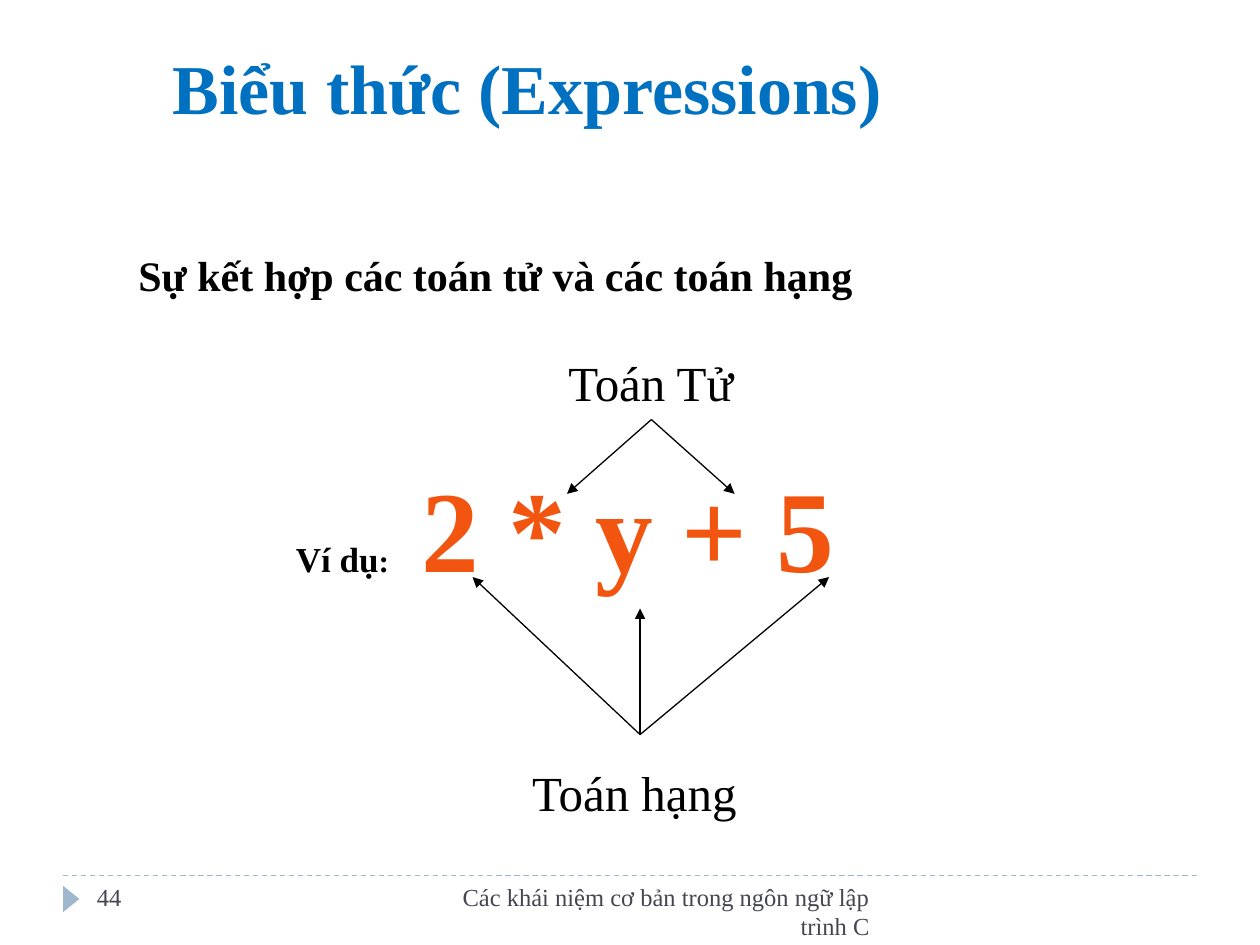
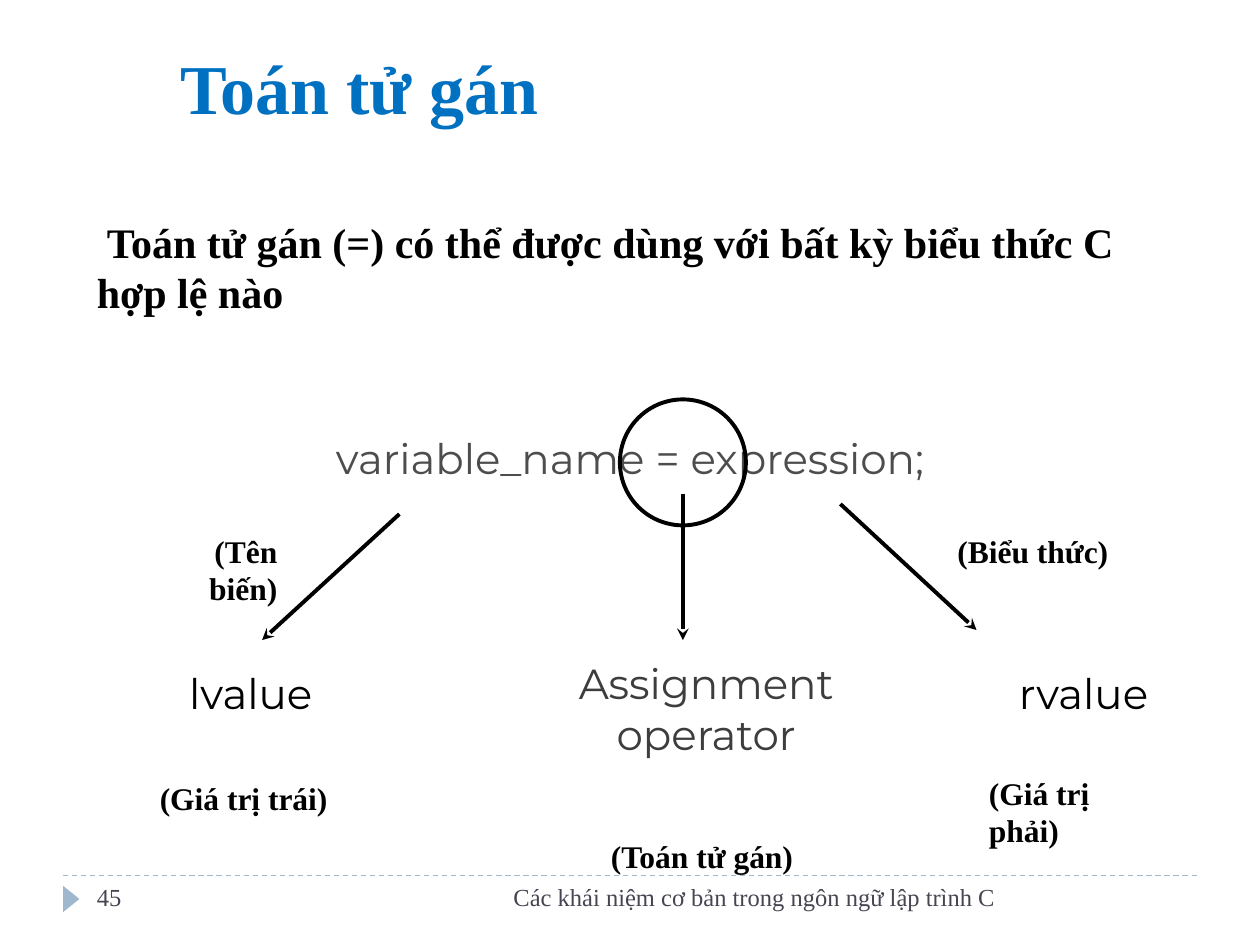
from pptx import Presentation
from pptx.dml.color import RGBColor
from pptx.enum.dml import MSO_LINE
from pptx.enum.shapes import MSO_CONNECTOR, MSO_SHAPE
from pptx.enum.text import MSO_ANCHOR, MSO_AUTO_SIZE, PP_ALIGN
from pptx.oxml.ns import qn
from pptx.util import Inches, Pt
from lxml import etree

LEFT, CENTER, RIGHT = PP_ALIGN.LEFT, PP_ALIGN.CENTER, PP_ALIGN.RIGHT
BOTTOM = MSO_ANCHOR.BOTTOM
NO_AUTOFIT = MSO_AUTO_SIZE.NONE
STRAIGHT = MSO_CONNECTOR.STRAIGHT
TRIANGLE, OVAL = MSO_SHAPE.ISOSCELES_TRIANGLE, MSO_SHAPE.OVAL
DASH = MSO_LINE.DASH
SERIF, SANS = "Times New Roman", "Montserrat"
BLACK, TITLE_BLUE, BAND_BLUE = "000000", "0070C0", "9FB8CD"
FOOTER_GRAY, ORANGE = "464653", "F1550F"
CODE_GRAY, OPERATOR_GRAY = "4D4D4D", "3D3D3D"
FOOTER = "Các khái niệm cơ bản trong ngôn ngữ lập trình C"
TITLE_ONLY = 5


def color(value):
    return RGBColor.from_string(value)


def add_run(paragraph, text, size=18, font=SERIF, fill=BLACK, bold=False):
    run = paragraph.add_run()
    run.text = text
    run.font.size = Pt(size)
    run.font.name = font
    run.font.bold = bold
    run.font.color.rgb = color(fill)


class Deck:
    """Hold the shared style and the slide being built."""

    def __init__(self):
        self.presentation = Presentation()
        self.presentation.slide_width = Inches(10)
        self.presentation.slide_height = Inches(7.5)
        self.slide = None

    def new_slide(self, title, number, title_left, title_width, footer_width):
        layout = self.presentation.slide_layouts[TITLE_ONLY]
        self.slide = self.presentation.slides.add_slide(layout)
        self.line((0.5, 6.95), (9.5, 6.95), fill=BAND_BLUE, dash=DASH)
        marker = self.shape(TRIANGLE, 0.46, 7.07, 0.21, 0.13, fill=BAND_BLUE)
        marker.rotation = 90
        self.title(title, title_left, title_width)
        footer_style = {"size": 14, "fill": FOOTER_GRAY}
        self.text(FOOTER, 3.17, 6.95, footer_width, 0.4, align=RIGHT, **footer_style)
        self.text(str(number), 0.67, 6.95, 2.17, 0.4, **footer_style)

    def title(self, text, left, width):
        shape = self.slide.shapes.title
        shape.left, shape.top = Inches(left), Inches(0.17)
        shape.width, shape.height = Inches(width), Inches(0.9)
        frame = shape.text_frame
        frame.auto_size = NO_AUTOFIT
        frame.vertical_anchor = BOTTOM
        frame.paragraphs[0].alignment = LEFT
        add_run(frame.paragraphs[0], text, size=40, fill=TITLE_BLUE, bold=True)

    def text(self, content, left, top, width, height, align=LEFT, wrap=True,
             margin=0, indent=0, tab=None, **style):
        box = self.slide.shapes.add_textbox(
            Inches(left), Inches(top), Inches(width), Inches(height))
        frame = box.text_frame
        frame.word_wrap = wrap
        lines = content.split("\n") if isinstance(content, str) else [content]
        for index, line in enumerate(lines):
            paragraph = frame.add_paragraph() if index else frame.paragraphs[0]
            paragraph.alignment = align
            properties = paragraph._p.get_or_add_pPr()
            properties.set("marL", str(Inches(margin)))
            properties.set("indent", str(Inches(indent)))
            if tab:
                tabs = etree.SubElement(properties, qn("a:tabLst"))
                etree.SubElement(tabs, qn("a:tab"), pos=str(Inches(tab)), algn="l")
            runs = [(line, {})] if isinstance(line, str) else line
            for words, run_style in runs:
                add_run(paragraph, words, **{**style, **run_style})

    def label(self, text, left, top, width, align=LEFT):
        self.text(text, left, top, width, 0.4, align=align, wrap=False, bold=True)

    def code(self, text, left, top, width, height=0.71, fill=BLACK):
        self.text(text, left, top, width, height, align=CENTER, wrap=False,
                  size=24, font=SANS, fill=fill)

    def shape(self, kind, left, top, width, height, fill=None, outline=None):
        shape = self.slide.shapes.add_shape(
            kind, Inches(left), Inches(top), Inches(width), Inches(height))
        shape.shadow.inherit = False
        if fill:
            shape.fill.solid()
            shape.fill.fore_color.rgb = color(fill)
        else:
            shape.fill.background()
        if outline:
            shape.line.color.rgb = color(outline)
            shape.line.width = Pt(2.25)
        else:
            shape.line.fill.background()
        return shape

    def line(self, start, end, fill=BLACK, width=0.75, dash=None, arrow=None):
        points = [Inches(value) for value in (*start, *end)]
        connector = self.slide.shapes.add_connector(STRAIGHT, *points)
        connector.line.color.rgb = color(fill)
        connector.line.width = Pt(width)
        if dash:
            connector.line.dash_style = dash
        if arrow:
            etree.SubElement(connector.line._get_or_add_ln(), qn("a:tailEnd"), type=arrow)
        etree.SubElement(connector._element.spPr, qn("a:effectLst"))


def build_expressions(deck):
    deck.new_slide("Biểu thức (Expressions)", 44, 1.27, 7.56, 3.83)
    deck.text("Sự kết hợp các toán tử và các toán hạng", 0.42, 1.93, 9.33, 0.5,
              margin=0.58, size=24, bold=True)
    for operand in ((3.75, 4.58), (6.58, 4.58), (5.08, 4.83)):
        deck.line((5.08, 5.83), operand, arrow="triangle")
    for operator in ((4.5, 3.92), (5.83, 3.92)):
        deck.line((5.17, 3.33), operator, arrow="triangle")
    deck.text("Toán hạng", 3.87, 6, 2.33, 0.57, align=CENTER, size=28)
    deck.text("Toán Tử", 4.25, 2.75, 1.83, 0.57, align=CENTER, size=28)
    example = [("Ví dụ", {"size": 20}), (":", {}),
               ("\t2 * y + 5", {"size": 66, "fill": ORANGE})]
    deck.text(example, 2.25, 3.58, 5.75, 1.2, tab=1.19, bold=True)


def build_assignment(deck):
    deck.new_slide("Toán tử gán", 45, 1.33, 7.75, 4.83)
    deck.text("Toán tử gán (=) có thể được dùng với bất kỳ biểu thức C hợp lệ nào",
              0.67, 1.67, 8.75, 0.9, indent=0.08, size=24, bold=True)
    deck.code("variable_name = expression;", 1.12, 3.38, 7.76, fill=CODE_GRAY)
    deck.shape(OVAL, 4.92, 3.17, 1, 1, outline=BLACK)
    for start, end in (((3.17, 4.08), (2.08, 5.08)),
                       ((6.67, 4), (7.75, 5)),
                       ((5.42, 3.92), (5.42, 5.08))):
        deck.line(start, end, width=2.25, arrow="stealth")
    deck.code("lvalue", 1.17, 5.25, 1.64)
    deck.code("rvalue", 7.78, 5.25, 1.64)
    deck.code("Assignment\noperator", 4, 5.17, 3.21, 1.42, fill=OPERATOR_GRAY)
    deck.label("(Giá trị trái)", 1.17, 6.13, 1.53)
    deck.label("(Giá trị phải)", 7.75, 6.09, 1.61)
    deck.label("(Toán tử gán)", 4.75, 6.59, 1.67)
    deck.label("(Tên biến)", 1, 4.17, 1.3, align=RIGHT)
    deck.label("(Biểu thức)", 7.5, 4.17, 1.4)


def main():
    deck = Deck()
    build_expressions(deck)
    build_assignment(deck)
    deck.presentation.save("out.pptx")


if __name__ == "__main__":
    main()
